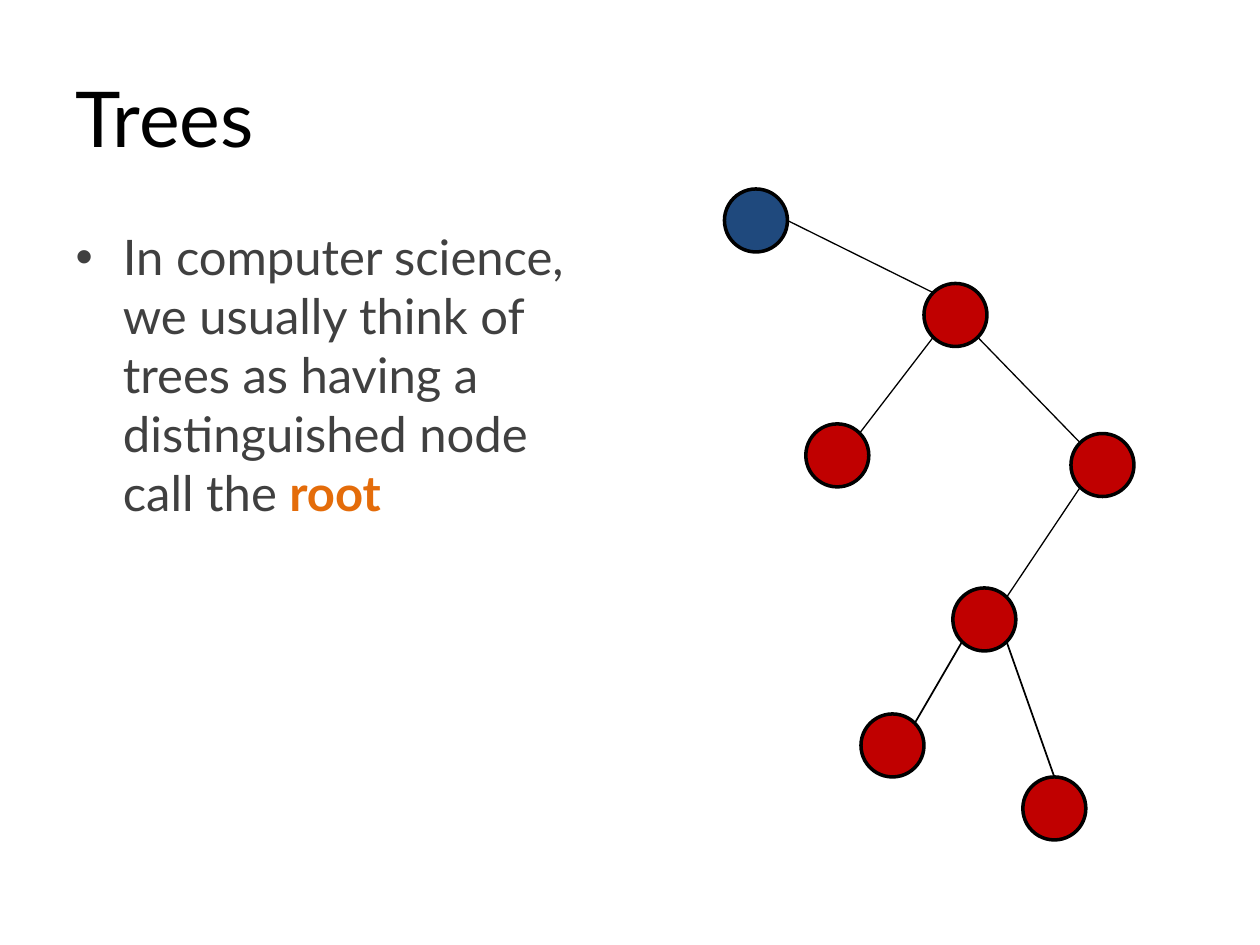
import math
from pptx import Presentation
from pptx import util as u
from pptx.dml.color import RGBColor
from pptx.enum import shapes, text
from pptx.oxml.ns import qn
from lxml import etree

BLACK = RGBColor(0x00, 0x00, 0x00)
GREY = RGBColor(0x40, 0x40, 0x40)
ORANGE = RGBColor(0xE4, 0x6C, 0x0A)
RED = RGBColor(0xC0, 0x00, 0x00)
BLUE = RGBColor(0x1F, 0x49, 0x7D)


class TreePage:
    """Hold the style and the current slide, and add each kind of element."""

    font_name = "Lato"
    radius = 18

    def __init__(self, deck):
        self.page = deck.slides.add_slide(deck.slide_layouts[1])

    def fill_placeholder(self, box, bounds, spans, size, color):
        box.left, box.top, box.width, box.height = map(u.Pt, bounds)
        para = box.text_frame.paragraphs[0]
        para.alignment = text.PP_ALIGN.LEFT
        para.font.name = self.font_name
        para.font.size = u.Pt(size)
        para.font.color.rgb = color
        for words, accent in spans:
            span = para.add_run()
            span.text = words
            if accent is not None:
                span.font.bold = True
                span.font.color.rgb = accent

    def add_node(self, center, color):
        x, y = center
        side = u.Pt(2 * self.radius)
        node = self.page.shapes.add_shape(
            shapes.MSO_SHAPE.OVAL, u.Pt(x - self.radius), u.Pt(y - self.radius), side, side)
        node.shadow.inherit = False
        node.fill.solid()
        node.fill.fore_color.rgb = color
        node.line.color.rgb = BLACK
        node.line.width = u.Pt(2)

    def rim(self, center, angle):
        turn = math.radians(angle)
        return (u.Pt(center[0] + self.radius * math.cos(turn)),
                u.Pt(center[1] + self.radius * math.sin(turn)))

    def add_edge(self, parent, leave, child, arrive, width):
        edge = self.page.shapes.add_connector(
            shapes.MSO_CONNECTOR.STRAIGHT, *self.rim(parent, leave), *self.rim(child, arrive))
        edge.line.color.rgb = BLACK
        edge.line.width = u.Pt(width)
        etree.SubElement(edge._element.spPr, qn("a:effectLst"))


NODES = {
    "root": (432, 126),
    "hub": (546, 180),
    "hub left": (478.5, 260.25),
    "hub right": (630, 265.75),
    "fork": (562.5, 354),
    "fork left": (510, 426),
    "fork right": (602.5, 462),
}
EDGES = [
    ("root", 0, "hub", 225, 0.75),
    ("hub", 135, "hub left", 315, 0.75),
    ("hub", 45, "hub right", 225, 0.75),
    ("hub right", 135, "fork", 315, 0.75),
    ("fork", 135, "fork left", 315, 1),
    ("fork", 45, "fork right", 270, 1),
]

deck = Presentation()
deck.slide_width, deck.slide_height = u.Pt(720), u.Pt(540)
tree = TreePage(deck)
title, body = tree.page.placeholders
tree.fill_placeholder(title, (36, 21.6, 648, 90), [("Trees", None)], 44, BLACK)
tree.fill_placeholder(body, (36, 126, 318, 356.4), [
    ("In computer science, we usually think of trees as having a distinguished node call the ", None),
    ("root", ORANGE),
], 28, GREY)
for name, center in NODES.items():
    tree.add_node(center, BLUE if name == "root" else RED)
for parent, leave, child, arrive, width in EDGES:
    tree.add_edge(NODES[parent], leave, NODES[child], arrive, width)
deck.save("out.pptx")
